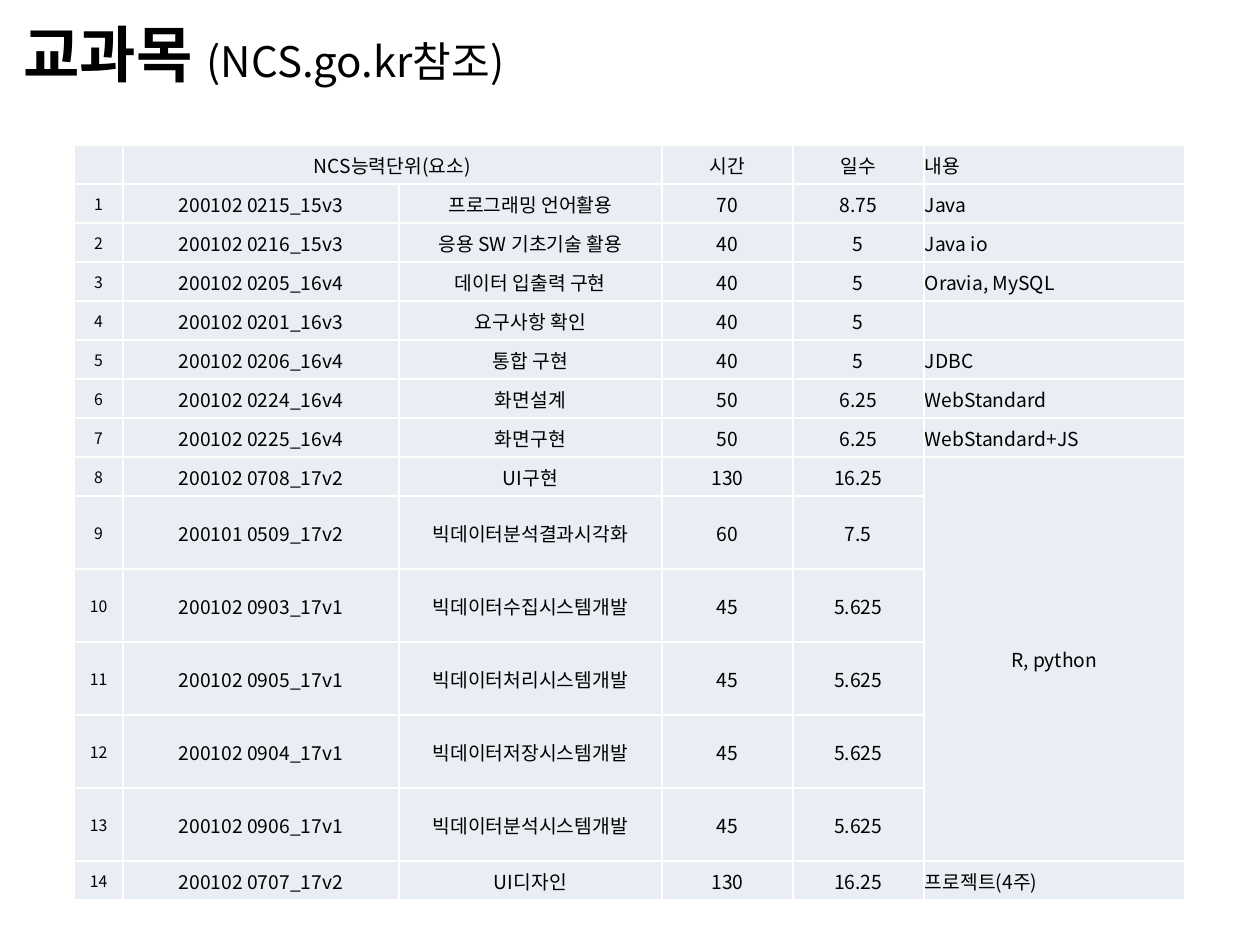
from lxml import etree
from pptx import Presentation, util as u
from pptx.dml.color import RGBColor
from pptx.enum import text
from pptx.oxml.ns import qn

THEME = {
    "font": "Noto Sans CJK KR",
    "ink": RGBColor.from_string("000000"),
    "cell": RGBColor.from_string("E9EDF4"),
    "line": "FFFFFF",
    "title": 35, "note": 24, "body": 11, "index": 9,
}
PX = 914400 / 126  # EMU in one px


def px(n):
    return u.Emu(round(n * PX))


def style(run, size, bold=False):
    font = run.font
    font.size, font.bold = u.Pt(size), bold
    font.color.rgb = THEME["ink"]
    font.name = THEME["font"]
    etree.SubElement(run._r.get_or_add_rPr(), qn("a:ea"), typeface=THEME["font"])


deck = Presentation()
deck.slide_width, deck.slide_height = px(1260), px(945)
slide = deck.slides.add_slide(deck.slide_layouts[5])

# Title with a lighter note
title = slide.shapes.title
title.left, title.top, title.width, title.height = px(11), px(0), px(1134), px(106)
frame = title.text_frame
frame.auto_size = text.MSO_AUTO_SIZE.NONE
frame.vertical_anchor = text.MSO_ANCHOR.MIDDLE
head = frame.paragraphs[0]
head.alignment = text.PP_ALIGN.LEFT
for words, size, bold in (("교과목 ", THEME["title"], True),
                          ("(NCS.go.kr참조)", THEME["note"], False)):
    run = head.add_run()
    run.text = words
    style(run, size, bold)

# Courses: unit code, name, hours, content
courses = [
    ("200102 0215_15v3", "프로그래밍 언어활용", 70, "Java"),
    ("200102 0216_15v3", "응용 SW 기초기술 활용", 40, "Java io"),
    ("200102 0205_16v4", "데이터 입출력 구현", 40, "Oravia, MySQL"),
    ("200102 0201_16v3", "요구사항 확인", 40, ""),
    ("200102 0206_16v4", "통합 구현", 40, "JDBC"),
    ("200102 0224_16v4", "화면설계", 50, "WebStandard"),
    ("200102 0225_16v4", "화면구현", 50, "WebStandard+JS"),
    ("200102 0708_17v2", "UI구현", 130, "R, python"),
    ("200101 0509_17v2", "빅데이터분석결과시각화", 60, ""),
    ("200102 0903_17v1", "빅데이터수집시스템개발", 45, ""),
    ("200102 0905_17v1", "빅데이터처리시스템개발", 45, ""),
    ("200102 0904_17v1", "빅데이터저장시스템개발", 45, ""),
    ("200102 0906_17v1", "빅데이터분석시스템개발", 45, ""),
    ("200102 0707_17v2", "UI디자인", 130, "프로젝트(4주)"),
]
DAY = 8  # hours in a day
rows = [("", "NCS능력단위(요소)", "", "시간", "일수", "내용")]
for num, (code, name, hours, topic) in enumerate(courses, 1):
    rows.append((str(num), code, name, str(hours), f"{hours / DAY:g}", topic))

# Table grid: rows 9 to 13 are tall
widths = [49, 276, 263, 131, 131, 261]
heights = [73 if 9 <= r <= 13 else 39 for r in range(len(rows))]
table = slide.shapes.add_table(len(rows), len(widths), px(74), px(145),
                               px(sum(widths)), px(sum(heights))).table
for col, width in zip(table.columns, widths):
    col.width = px(width)
for row, height in zip(table.rows, heights):
    row.height = px(height)
table.cell(0, 1).merge(table.cell(0, 2))
table.cell(8, 5).merge(table.cell(13, 5))

# Cells
for r, row in enumerate(rows):
    for c, words in enumerate(row):
        cell = table.cell(r, c)
        cell.margin_left = cell.margin_right = cell.margin_top = px(1)
        cell.margin_bottom = 0
        cell.vertical_anchor = text.MSO_ANCHOR.MIDDLE
        props = cell._tc.get_or_add_tcPr()
        for side in ("lnL", "lnR", "lnT", "lnB"):
            edge = etree.SubElement(props, qn(f"a:{side}"), w=str(u.Pt(1)))
            fill = etree.SubElement(edge, qn("a:solidFill"))
            etree.SubElement(fill, qn("a:srgbClr"), val=THEME["line"])
        cell.fill.solid()
        cell.fill.fore_color.rgb = THEME["cell"]
        para = cell.text_frame.paragraphs[0]
        left = c == 5 and not cell.is_merge_origin
        para.alignment = text.PP_ALIGN.LEFT if left else text.PP_ALIGN.CENTER
        size = THEME["body"] if c else THEME["index"]
        if words:
            para.text = words
            style(para.runs[0], size)
        else:
            # keeps empty cells from stretching their row
            etree.SubElement(para._p, qn("a:endParaRPr"), sz=str(size * 100))

deck.save("out.pptx")
